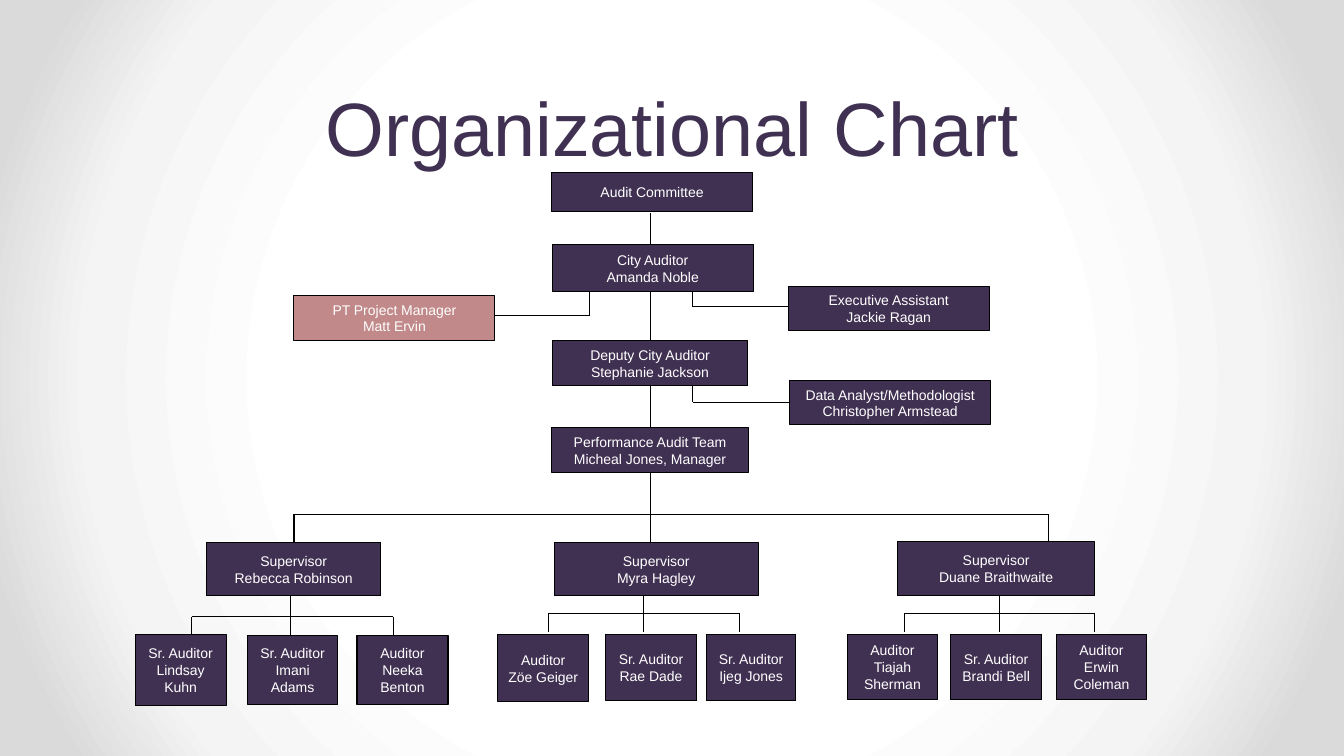
from pptx import Presentation
from pptx.dml.color import RGBColor
from pptx.enum.shapes import MSO_CONNECTOR as Conn, MSO_SHAPE as Kind
from pptx.enum.text import MSO_ANCHOR as Anchor, PP_ALIGN as Align
from pptx.oxml import parse_xml
from pptx.oxml.ns import nsdecls
from pptx.oxml.xmlchemy import OxmlElement as Node
from pptx.util import Pt

DARK, PINK, WHITE, BLACK = "403152", "C18989", "FFFFFF", "000000"
STOPS = [(50, WHITE), (76, "F4F4F4"), (92, "DADADA")]

BOSSES = [
    (394, 123, 143.5, 28, "Audit Committee"),
    (394.5, 175, 143.5, 33, "City Auditor\nAmanda Noble"),
    (563, 204.5, 143.5, 31.5, "Executive Assistant\nJackie Ragan"),
    (394.5, 243.5, 139.5, 32, "Deputy City Auditor\nStephanie Jackson"),
    (564, 272, 143.5, 31.5, "Data Analyst/Methodologist Christopher Armstead"),
    (394, 305.5, 140.5, 32, "Performance Audit Team\nMicheal Jones, Manager"),
]
LEADS = [
    (147.5, 387.5, 124.5, 38, "Supervisor\nRebecca Robinson"),
    (396, 387.5, 145.5, 38, "Supervisor\nMyra Hagley"),
    (641, 387, 141, 38, "Supervisor\nDuane Braithwaite"),
]
STAFF = [
    (96.5, 453.5, 65, 50.5, "Sr. Auditor\nLindsay Kuhn"),
    (177, 454, 64, 49.5, "Sr. Auditor\nImani\nAdams"),
    (255, 454, 65, 49.5, "Auditor\nNeeka Benton"),
    (355.5, 453.5, 65, 47.5, "Auditor Zöe Geiger"),
    (432.5, 453, 65, 47.5, "Sr. Auditor\nRae Dade"),
    (504.5, 453, 64, 47.5, "Sr. Auditor\nIjeg Jones"),
    (605.5, 453, 64, 47, "Auditor\nTiajah Sherman"),
    (679, 453, 65, 47, "Sr. Auditor\nBrandi Bell"),
    (754.5, 453, 64.5, 47, "Auditor\nErwin\nColeman"),
]
SPINE = 464.5
LINKS = [(152, 175), (208, 243.5), (275.5, 305.5)]
ELBOWS = [(421, 208, 353, 225.5), (495, 208, 563, 219), (495, 275.5, 564, 287.5)]
TREES = [
    (210, SPINE, 749, 337.5, 367.5, 387.5),
    (137, 207.5, 281, 425.5, 440.5, 454),
    (391.5, 460, 528.5, 425.5, 438.5, 451.5),
    (646, 714, 782, 425, 438.5, 451.5),
]


def color(code):
    return RGBColor.from_string(code)


class Chart:
    """Draws the parts of an organization chart on one slide."""

    face = "Arial"
    stroke = Pt(0.75)

    def __init__(self, slide):
        self.slide = slide
        self.shapes = slide.shapes

    def back(self, stops):
        marks = "".join(
            f'<a:gs pos="{at * 1000}"><a:srgbClr val="{code}"/></a:gs>' for at, code in stops
        )
        fill = parse_xml(
            f'<p:bg {nsdecls("p", "a")}><p:bgPr><a:gradFill rotWithShape="1">'
            f'<a:gsLst>{marks}</a:gsLst><a:path path="circle">'
            '<a:fillToRect l="50000" t="50000" r="50000" b="50000"/></a:path>'
            "</a:gradFill><a:effectLst/></p:bgPr></p:bg>"
        )
        self.slide.element.cSld.insert(0, fill)

    def label(self, frame, text, size, code, anchor):
        frame.word_wrap = True
        frame.vertical_anchor = anchor
        frame.text = text
        for para in frame.paragraphs:
            para.alignment = Align.CENTER
            font = para.font
            font.name, font.size = self.face, Pt(size)
            font.color.rgb = color(code)

    def title(self, x, y, w, h, text):
        frame = self.shapes.add_textbox(Pt(x), Pt(y), Pt(w), Pt(h)).text_frame
        self.label(frame, text, 54, DARK, Anchor.BOTTOM)
        frame.paragraphs[0].line_spacing = Pt(58)

    def box(self, x, y, w, h, text, code=DARK):
        shape = self.shapes.add_shape(Kind.FLOWCHART_PROCESS, Pt(x), Pt(y), Pt(w), Pt(h))
        shape.shadow.inherit = False
        shape.fill.solid()
        shape.fill.fore_color.rgb = color(code)
        shape.line.color.rgb = color(BLACK)
        shape.line.width = self.stroke
        self.label(shape.text_frame, text, 10, WHITE, Anchor.MIDDLE)

    def line(self, x1, y1, x2, y2):
        link = self.shapes.add_connector(Conn.STRAIGHT, Pt(x1), Pt(y1), Pt(x2), Pt(y2))
        link.line.color.rgb = color(BLACK)
        link.line.width = self.stroke
        link._element.spPr.append(Node("a:effectLst"))

    def elbow(self, x1, y1, x2, y2):
        self.line(x1, y1, x1, y2)
        self.line(x1, y2, x2, y2)

    def tree(self, left, stem, right, top, bar, base):
        self.line(stem, top, stem, bar)
        self.line(left, bar, right, bar)
        for x in (left, stem, right):
            self.line(x, bar, x, base)


def main():
    deck = Presentation()
    deck.slide_width, deck.slide_height = Pt(960), Pt(540)
    chart = Chart(deck.slides.add_slide(deck.slide_layouts[6]))
    chart.back(STOPS)
    chart.title(48, 0, 864, 126, "Organizational Chart")
    for top, base in LINKS:
        chart.line(SPINE, top, SPINE, base)
    for bend in ELBOWS:
        chart.elbow(*bend)
    for team in TREES:
        chart.tree(*team)
    for post in BOSSES + LEADS + STAFF:
        chart.box(*post)
    chart.box(210, 211, 143.5, 32, "PT Project Manager\nMatt Ervin", PINK)
    deck.save("out.pptx")


if __name__ == "__main__":
    main()
